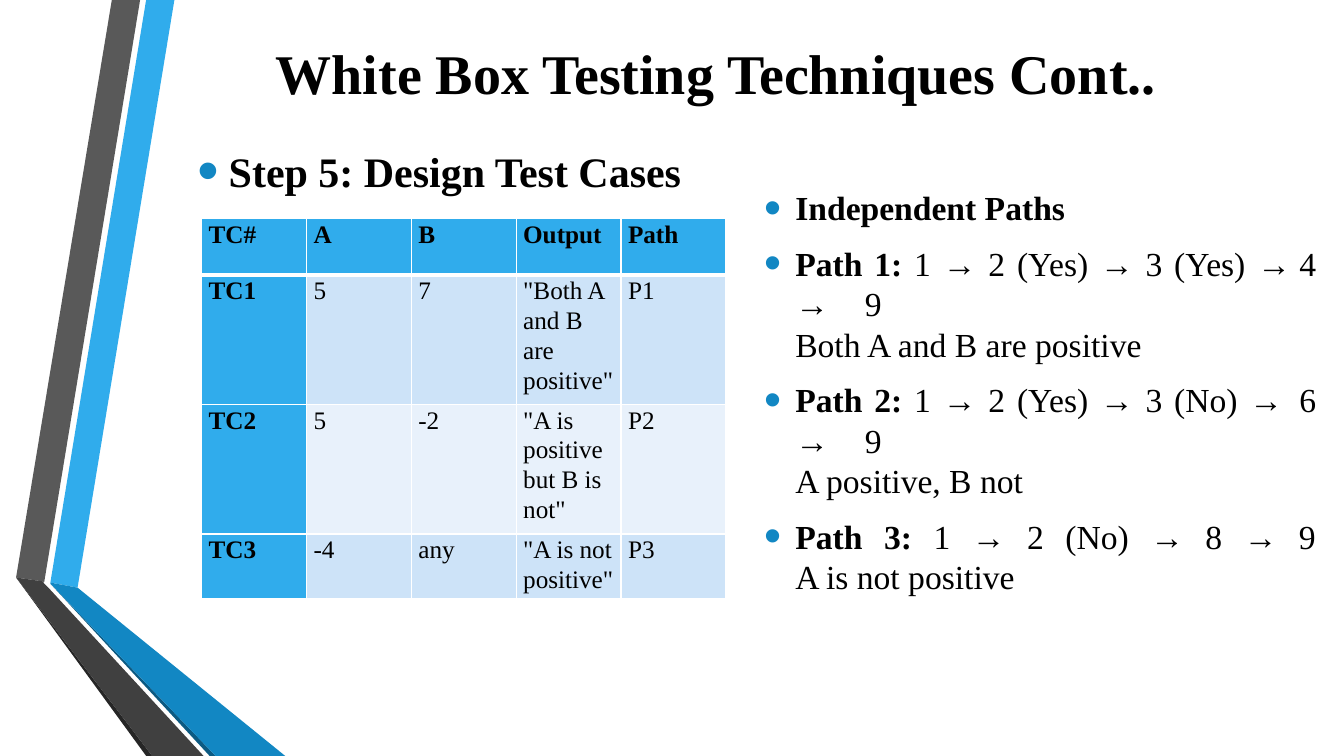
from lxml.etree import SubElement
from pptx import Presentation
from pptx.dml.color import RGBColor
from pptx.enum.text import MSO_ANCHOR, PP_ALIGN
from pptx.oxml import parse_xml
from pptx.oxml.ns import nsdecls, qn
from pptx.util import Pt

PX = 9144  # 100 px to the inch

THEME = {
    "font": "Times New Roman",
    "text": RGBColor.from_string("000000"),
    "sizes": {"title": Pt(40), "step": Pt(30), "paths": Pt(24), "table": Pt(18)},
    "bright_blue": "30ACEC", "blue": "1287C3", "deep_blue": "0C5A82",
    "gray": "595959", "dark_gray": "404040", "black_gray": "262626",
    "bands": ["CDE3F8", "E8F1FB"], "border": "FFFFFF",
}


def add_span(para, text, role, bold=True):
    span = para.add_run()
    span.text = text
    values = {"name": THEME["font"], "size": THEME["sizes"][role], "bold": bold}
    for name, value in values.items():
        setattr(span.font, name, value)
    span.font.color.rgb = THEME["text"]


def add_bullet(para):
    properties = para._p.get_or_add_pPr()
    properties.set("marL", str(31 * PX))
    properties.set("indent", str(-31 * PX))
    color = SubElement(properties, qn("a:buClr"))
    SubElement(color, qn("a:srgbClr"), val=THEME["blue"])
    SubElement(properties, qn("a:buSzPct"), val="145000")
    SubElement(properties, qn("a:buFont"), typeface="Arial")
    SubElement(properties, qn("a:buChar"), char="•")


deck = Presentation()
deck.slide_width, deck.slide_height = 1333 * PX, 750 * PX
page = deck.slides.add_slide(deck.slide_layouts[6])

# Folded ribbons on the left
ribbons = [
    ("bright_blue", [(50, 578), (77, 583), (173, 0), (145, 0)]),
    ("gray", [(139, 0), (111, 0), (16, 573), (44, 577)]),
    ("black_gray", [(16, 573), (145, 750), (151, 750)]),
    ("deep_blue", [(50, 579), (208, 750), (214, 750)]),
    ("blue", [(50, 579), (214, 750), (283, 750), (77, 583), (50, 578)]),
    ("dark_gray", [(202, 750), (48, 583), (43, 578), (44, 577), (16, 573), (151, 750)]),
]
for color, points in ribbons:
    builder = page.shapes.build_freeform(*points[0], scale=PX)
    builder.add_line_segments(points[1:], close=True)
    ribbon = builder.convert_to_shape()
    ribbon.shadow.inherit = False
    ribbon.fill.solid()
    ribbon.fill.fore_color.rgb = RGBColor.from_string(THEME[color])
    ribbon.line.fill.background()

# Text frames: left, top, width, height, bottom inset
areas = {
    "title": (162, 30, 1096, 146, 67),
    "paths": (748, 154, 567, 504, 40),
    "step": (186, 136, 535, 66, 5),
}
frames = {}
for role, (left, top, width, height, bottom) in areas.items():
    box = page.shapes.add_textbox(left * PX, top * PX, width * PX, height * PX)
    frames[role] = box.text_frame
    values = {"word_wrap": True, "vertical_anchor": MSO_ANCHOR.MIDDLE,
              "margin_bottom": bottom * PX}
    for name, value in values.items():
        setattr(box.text_frame, name, value)

# Title
title = frames["title"].paragraphs[0]
title.alignment = PP_ALIGN.CENTER
add_span(title, "White Box Testing Techniques Cont..", "title")

# Independent paths
paths = [
    ("Independent Paths", "", ""),
    ("Path 1:", " 1 → 2 (Yes) → 3 (Yes) →\t4\t→\t9", "Both A and B are positive"),
    ("Path 2:", " 1 → 2 (Yes) → 3 (No) →\t6\t→\t9", "A positive, B not"),
    ("Path 3:", " 1 → 2 (No) → 8 → 9", "A is not positive"),
]
for index, (label, route, meaning) in enumerate(paths):
    para = frames["paths"].add_paragraph() if index else frames["paths"].paragraphs[0]
    add_bullet(para)
    values = {"alignment": PP_ALIGN.JUSTIFY, "space_after": Pt(6),
              "space_before": Pt(5 if index else 0)}
    for name, value in values.items():
        setattr(para, name, value)
    add_span(para, label, "paths")
    if route:
        add_span(para, route, "paths", bold=False)
        para.add_line_break()
        add_span(para, meaning, "paths", bold=False)

# Test case table
cases = [
    ["TC#", "A", "B", "Output", "Path"],
    ["TC1", "5", "7", '"Both A and B are positive"', "P1"],
    ["TC2", "5", "-2", '"A is positive but B is not"', "P2"],
    ["TC3", "-4", "any", '"A is not positive"', "P3"],
]
row_heights = [56, 90, 120, 60]
column_width = 104
columns = len(cases[0])
table = page.shapes.add_table(len(cases), columns, 200 * PX, 217 * PX,
                              columns * column_width * PX, sum(row_heights) * PX).table
for column in table.columns:
    column.width = column_width * PX
for row_index, case in enumerate(cases):
    table.rows[row_index].height = row_heights[row_index] * PX
    for column_index, text in enumerate(case):
        cell = table.cell(row_index, column_index)
        heading = row_index == 0 or column_index == 0
        values = {"margin_left": 7 * PX, "margin_right": 7 * PX,
                  "margin_top": 0, "margin_bottom": 0}
        for name, value in values.items():
            setattr(cell, name, value)
        fill = THEME["bright_blue"] if heading else THEME["bands"][(row_index - 1) % 2]
        cell.fill.solid()
        cell.fill.fore_color.rgb = RGBColor.from_string(fill)
        para = cell.text_frame.paragraphs[0]
        para.line_spacing = 1.07
        add_span(para, text, "table", bold=heading)

        # Thin borders, with a thick rule under the header
        borders = {"lnL": 1, "lnR": 1, "lnT": 3 if row_index == 1 else 1,
                   "lnB": 3 if row_index == 0 else 1}
        for position, (side, points) in enumerate(borders.items()):
            border = parse_xml(
                f'<a:{side} {nsdecls("a")} w="{Pt(points)}"><a:solidFill>'
                f'<a:srgbClr val="{THEME["border"]}"/></a:solidFill></a:{side}>')
            cell._tc.get_or_add_tcPr().insert(position, border)

# Step heading
step = frames["step"].paragraphs[0]
add_bullet(step)
add_span(step, "Step 5: Design Test Cases", "step")

deck.save("out.pptx")
